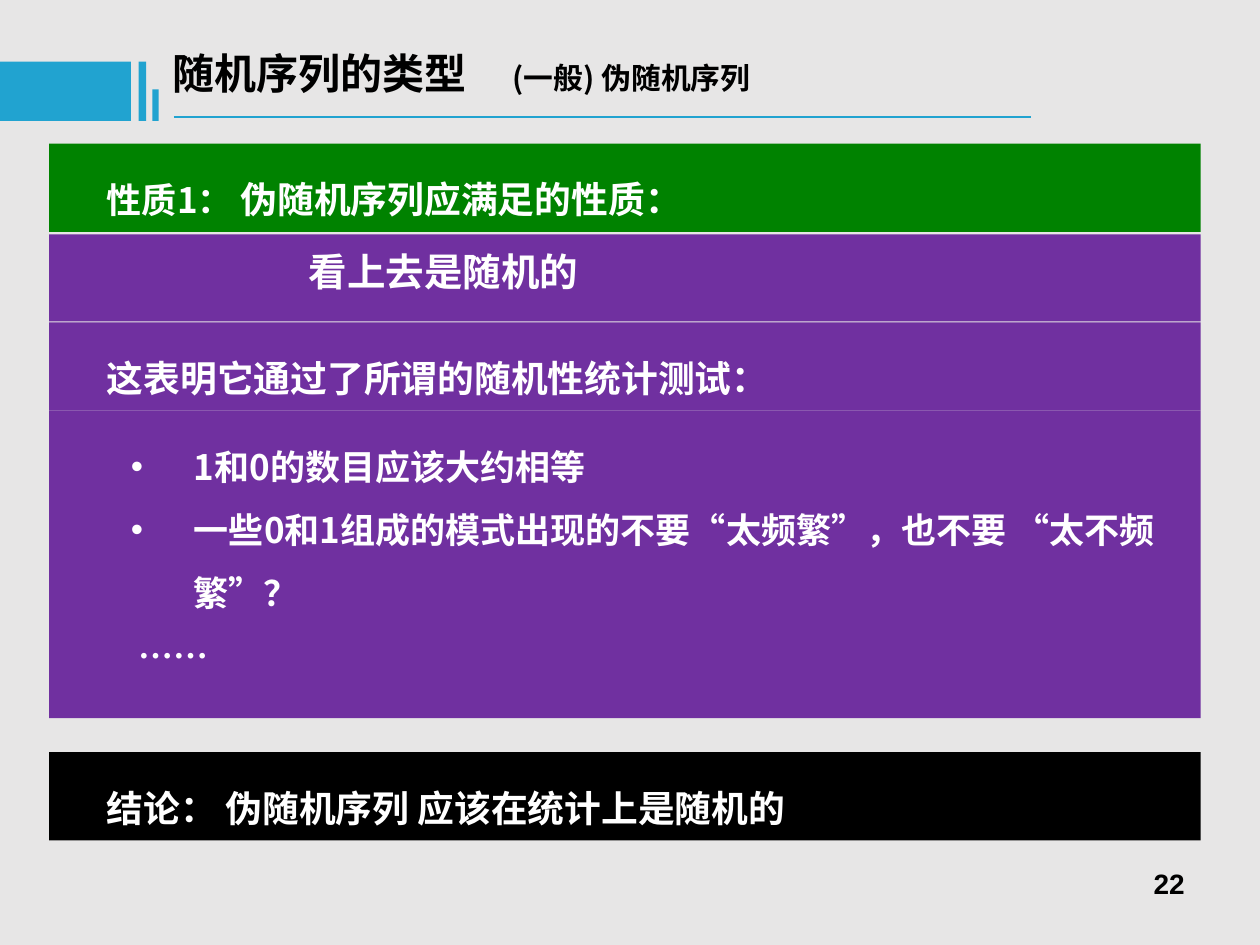
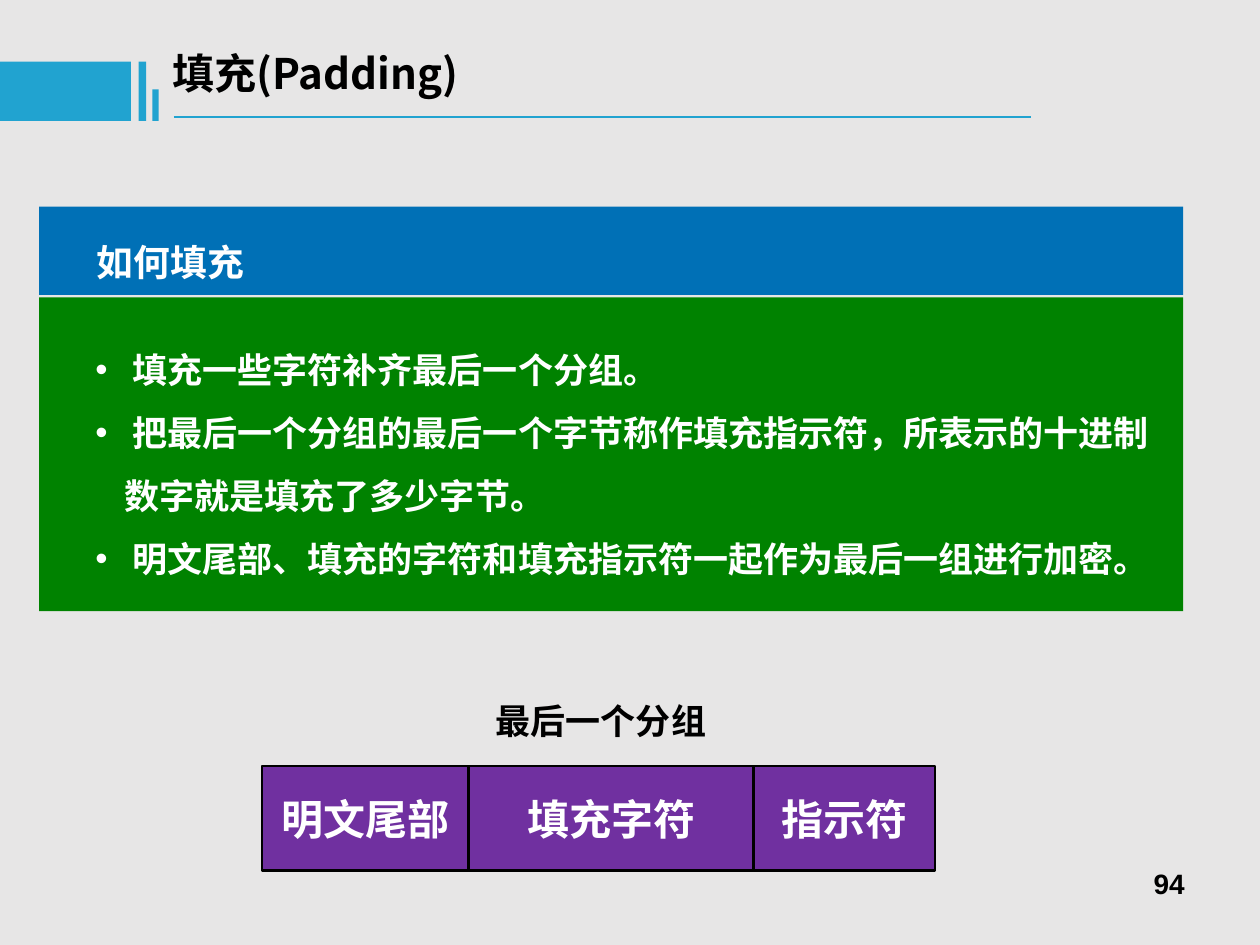
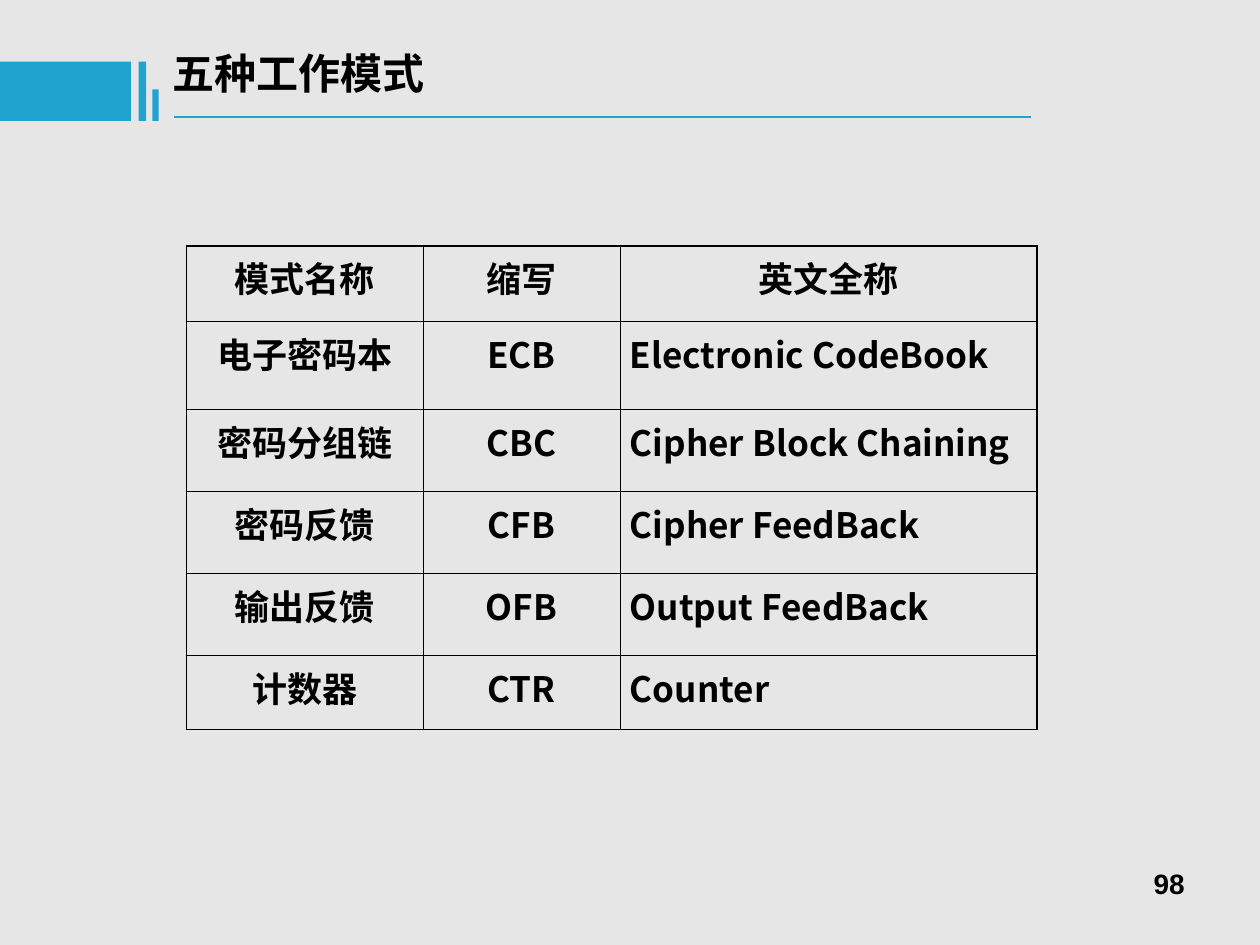
from dataclasses import dataclass

import pptx
import pptx.dml.color
import pptx.enum.shapes
import pptx.enum.text
import pptx.oxml
import pptx.oxml.ns
import pptx.util
from pptx.util import Inches

COLORS = {
    "page": "E7E6E6",
    "accent": "21A3D0",
    "purple": "7030A0",
    "green": "008200",
    "blue": "0070B6",
    "black": "000000",
    "white": "FFFFFF",
}
CJK_FONT = "Noto Sans CJK SC"
ALIGN = pptx.enum.text.PP_ALIGN
ANCHOR = pptx.enum.text.MSO_ANCHOR
NAMESPACE = pptx.oxml.ns.nsdecls("a")


@dataclass(frozen=True)
class Box:
    left: float
    top: float
    width: float
    height: float

    def lengths(self) -> tuple:
        return tuple(Inches(v) for v in (self.left, self.top, self.width, self.height))


@dataclass(frozen=True)
class Line:
    """One paragraph; the tail is a second run with its own size."""
    text: str
    tail: str = ""
    tail_size: float = 0
    bullet: bool = False
    hang: float = 0
    tab: float = 0


@dataclass(frozen=True)
class Band:
    box: Box
    fill: str
    text_box: Box
    lines: tuple
    size: float = 21
    spacing: float = 1.5
    align: ALIGN = ALIGN.LEFT


@dataclass(frozen=True)
class Block:
    label: str
    width: float


# Shared drawing functions

def rgb(name: str) -> pptx.dml.color.RGBColor:
    return pptx.dml.color.RGBColor.from_string(COLORS[name])


def add_xml(parent, xml: str) -> None:
    parent.append(pptx.oxml.parse_xml(xml))


def format_paragraph(paragraph, line: Line) -> None:
    properties = paragraph._p.get_or_add_pPr()
    if line.hang:
        properties.set("marL", str(Inches(line.hang)))
        properties.set("indent", str(-Inches(line.hang)))
    if line.bullet:
        add_xml(properties, f'<a:buClr {NAMESPACE}><a:srgbClr val="{COLORS["white"]}"/></a:buClr>')
        add_xml(properties, f'<a:buFont {NAMESPACE} typeface="Arial"/>')
        add_xml(properties, f'<a:buChar {NAMESPACE} char="•"/>')
    if line.tab:
        add_xml(properties, f'<a:tabLst {NAMESPACE}><a:tab pos="{Inches(line.tab)}" algn="l"/></a:tabLst>')


def write(frame, *lines: Line, size: float, color: str = "black", font: str = CJK_FONT,
          align: ALIGN = ALIGN.LEFT, spacing: float = 1, wrap: bool = True,
          anchor: ANCHOR = ANCHOR.TOP) -> None:
    frame.word_wrap = wrap
    frame.vertical_anchor = anchor
    for index, line in enumerate(lines):
        paragraph = frame.add_paragraph() if index else frame.paragraphs[0]
        format_paragraph(paragraph, line)
        paragraph.alignment = align
        paragraph.line_spacing = spacing
        for text, run_size in ((line.text, size), (line.tail, line.tail_size)):
            if not text:
                continue
            run = paragraph.add_run()
            run.text = text
            run.font.size = pptx.util.Pt(run_size)
            run.font.bold = True
            run.font.color.rgb = rgb(color)
            run.font.name = font
            run.font._element.find(pptx.oxml.ns.qn("a:latin")).addnext(
                pptx.oxml.parse_xml(f'<a:ea {NAMESPACE} typeface="{CJK_FONT}"/>'))


def add_text(slide, box: Box, *lines: Line, **style) -> None:
    write(slide.shapes.add_textbox(*box.lengths()).text_frame, *lines, **style)


def add_rectangle(slide, box: Box, fill: str, outline: str = ""):
    rectangle = slide.shapes.add_shape(
        pptx.enum.shapes.MSO_SHAPE.RECTANGLE, *box.lengths())
    rectangle.shadow.inherit = False
    rectangle.fill.solid()
    rectangle.fill.fore_color.rgb = rgb(fill)
    if outline:
        rectangle.line.color.rgb = rgb(outline)
        rectangle.line.width = pptx.util.Pt(1.5)
    else:
        rectangle.line.fill.background()
    return rectangle


def add_band(slide, band: Band) -> None:
    add_rectangle(slide, band.box, band.fill)
    add_text(slide, band.text_box, *band.lines, size=band.size, color="white",
             spacing=band.spacing, align=band.align)


def start_slide(deck, title: Line, number: int):
    slide = deck.slides.add_slide(deck.slide_layouts[6])
    slide.background.fill.solid()
    slide.background.fill.fore_color.rgb = rgb("page")
    # Page number
    add_text(slide, Box(7.17, 6.83, 2.33, 0.52), Line(str(number)),
             size=16, font="Arial", align=ALIGN.RIGHT)
    # Title with its bars and underline
    add_text(slide, Box(1.27, 0.33, 6.84, 0.5), title, size=24)
    for bar in (Box(0, 0.49, 1.04, 0.47), Box(1.1, 0.49, 0.06, 0.47), Box(1.21, 0.71, 0.05, 0.25)):
        add_rectangle(slide, bar, "accent")
    underline = slide.shapes.add_connector(
        pptx.enum.shapes.MSO_CONNECTOR.STRAIGHT,
        Inches(1.38), Inches(0.93), Inches(8.18), Inches(0.93))
    underline.line.color.rgb = rgb("accent")
    underline.line.width = pptx.util.Pt(1.5)
    add_xml(underline._element.spPr, f"<a:effectLst {NAMESPACE}/>")
    return slide


# Slide contents

def build_sequence_types(deck) -> None:
    slide = start_slide(deck, Line("随机序列的类型", "\t(一般) 伪随机序列", 17, tab=2.7), 22)
    left, width = 0.39, 9.14

    def heading(top: float, fill: str, line: Line, size: float = 21) -> Band:
        return Band(Box(left, top, width, 0.7), fill,
                    Box(0.75, top + 0.04, 8.42, 0.63), (line,), size)

    tests = (
        Line("1和0的数目应该大约相等", bullet=True, hang=0.5),
        Line("一些0和1组成的模式出现的不要“太频繁”，也不要 “太不频繁”？", bullet=True, hang=0.5),
        Line(" ……", hang=0.5),
    )
    bands = (
        Band(Box(left, 3.26, width, 2.44), "purple", Box(0.94, 3.32, 8.41, 2.1), tests, 20),
        heading(2.56, "purple", Line("这表明它通过了所谓的随机性统计测试：")),
        Band(Box(left, 1.86, width, 0.69), "purple", Box(1.41, 1.92, 4.22, 0.47),
             (Line("看上去是随机的"),), 22, 1, ALIGN.CENTER),
        heading(1.14, "green", Line("性质1： ", "伪随机序列应满足的性质：", 21), 20),
        heading(5.97, "black", Line("结论： 伪随机序列 应该在统计上是随机的")),
    )
    for band in bands:
        add_band(slide, band)


def build_padding(deck) -> None:
    slide = start_slide(deck, Line("填充(Padding)"), 94)
    steps = tuple(Line(text, bullet=True, hang=0.23) for text in (
        " 填充一些字符补齐最后一个分组。",
        " 把最后一个分组的最后一个字节称作填充指示符，所表示的十进制数字就是填充了多少字节。",
        " 明文尾部、填充的字符和填充指示符一起作为最后一组进行加密。",
    ))
    add_band(slide, Band(Box(0.31, 2.36, 9.08, 2.49), "green",
                         Box(0.66, 2.55, 8.66, 2.1), steps, 20))
    add_band(slide, Band(Box(0.31, 1.64, 9.08, 0.7), "blue",
                         Box(0.67, 1.68, 8.36, 0.63), (Line("如何填充"),)))
    # Parts of the last block, side by side
    left = 2.08
    for block in (Block("明文尾部", 1.64), Block("填充字符", 2.26), Block("指示符", 1.44)):
        part = add_rectangle(slide, Box(left, 6.08, block.width, 0.83), "purple", "black")
        write(part.text_frame, Line(block.label), size=24, color="white", font="Calibri",
              align=ALIGN.CENTER, wrap=False, anchor=ANCHOR.MIDDLE)
        left += block.width
    add_text(slide, Box(3.59, 5.5, 2.36, 0.44), Line("最后一个分组"), size=20, align=ALIGN.CENTER)


def set_borders(cell, outer: dict[str, bool]) -> None:
    properties = cell._tc.get_or_add_tcPr()
    for side, is_outer in outer.items():
        weight = pptx.util.Pt(1.08 if is_outer else 0.45)
        add_xml(properties, f'<a:ln{side} {NAMESPACE} w="{weight}"><a:solidFill>'
                            f'<a:srgbClr val="{COLORS["black"]}"/></a:solidFill></a:ln{side}>')


def build_modes(deck) -> None:
    slide = start_slide(deck, Line("五种工作模式"), 98)
    modes = (
        ("模式名称", "缩写", "英文全称"),
        ("电子密码本", "ECB", "Electronic CodeBook"),
        ("密码分组链", "CBC", "Cipher Block Chaining"),
        ("密码反馈", "CFB", "Cipher FeedBack"),
        ("输出反馈", "OFB", "Output FeedBack"),
        ("计数器", "CTR", "Counter"),
    )
    widths = (1.88, 1.56, 3.31)
    heights = (0.6, 0.7, 0.65, 0.65, 0.65, 0.59)
    last_row, last_column = len(heights) - 1, len(widths) - 1
    box = Box(1.48, 1.95, sum(widths), sum(heights))
    table = slide.shapes.add_table(len(heights), len(widths), *box.lengths()).table
    table.first_row = table.horz_banding = False
    for column, width in zip(table.columns, widths):
        column.width = Inches(width)
    for row, height in zip(table.rows, heights):
        row.height = Inches(height)
    for r, mode in enumerate(modes):
        for c, text in enumerate(mode):
            cell = table.cell(r, c)
            cell.margin_left = cell.margin_right = Inches(0.08)
            cell.margin_top = cell.margin_bottom = Inches(0.05)
            set_borders(cell, {"L": c == 0, "R": c == last_column,
                               "T": r == 0, "B": r == last_row})
            cell.fill.background()
            is_full_name = r > 0 and c == last_column
            write(cell.text_frame, Line(text), size=20,
                  align=ALIGN.LEFT if is_full_name else ALIGN.CENTER)


def main() -> None:
    deck = pptx.Presentation()
    deck.slide_width, deck.slide_height = Inches(10), Inches(7.5)
    for build in (build_sequence_types, build_padding, build_modes):
        build(deck)
    deck.save("out.pptx")


if __name__ == "__main__":
    main()
